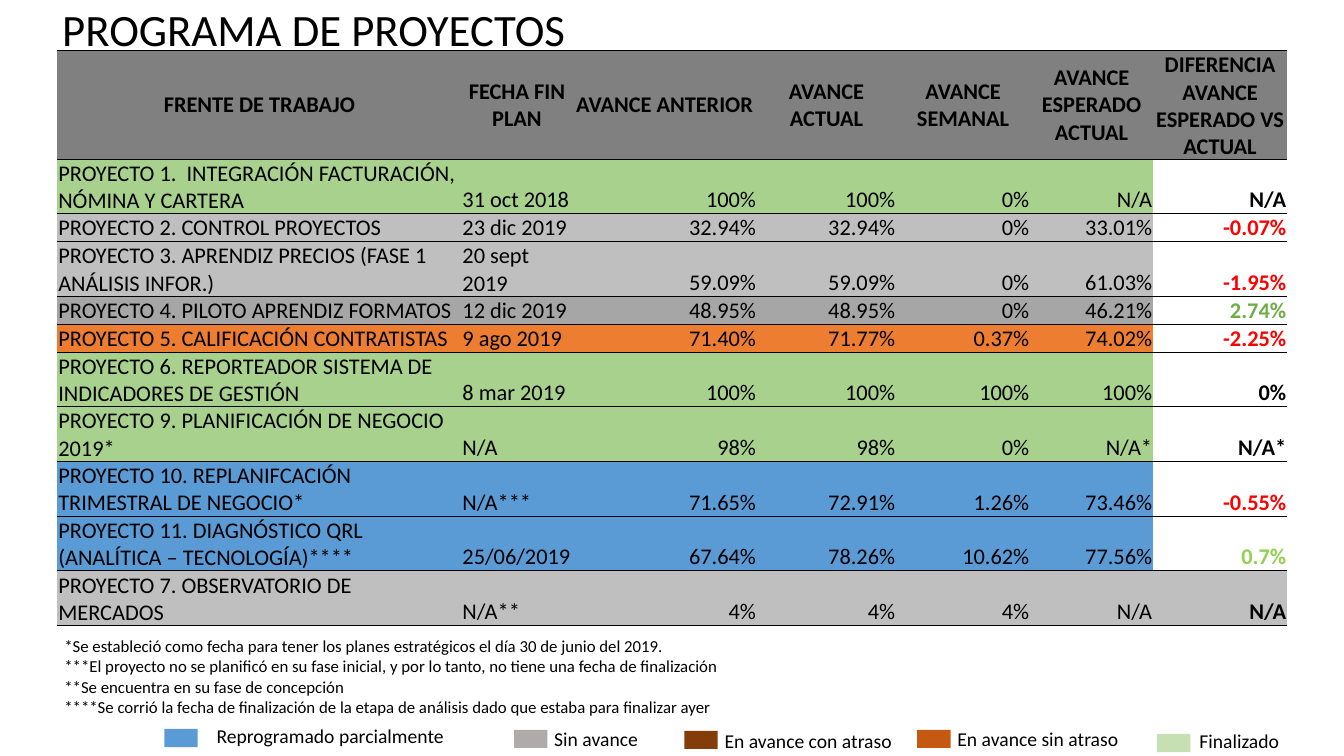
from lxml import etree
from pptx import Presentation
from pptx.dml.color import RGBColor
from pptx.enum.shapes import MSO_SHAPE
from pptx.enum.text import MSO_ANCHOR, PP_ALIGN
from pptx.oxml.ns import qn
from pptx.util import Pt

RECTANGLE = MSO_SHAPE.RECTANGLE
MIDDLE, BOTTOM = MSO_ANCHOR.MIDDLE, MSO_ANCHOR.BOTTOM
LEFT, CENTER, RIGHT = PP_ALIGN.LEFT, PP_ALIGN.CENTER, PP_ALIGN.RIGHT
PLAIN_TABLE = "{2D5ABB26-0587-4C30-8999-92F81FD0307C}"

BLACK, WHITE, RED = "000000", "FFFFFF", "FF0000"
GREEN, LIME = "70AD47", "92D050"
HEADER, SILVER, GRAY = "808080", "BFBFBF", "A6A6A6"
DONE, ORANGE, BLUE = "A9D18E", "ED7D31", "5B9BD5"

HEADINGS = ["FRENTE DE TRABAJO", "FECHA FIN PLAN", "AVANCE ANTERIOR",
            "AVANCE ACTUAL", "AVANCE SEMANAL", "AVANCE ESPERADO ACTUAL",
            "DIFERENCIA AVANCE ESPERADO VS ACTUAL"]
COLUMN_WIDTHS = [288.7, 79.2, 131.8, 99.4, 95.8, 87.8, 95.8]
HEADER_HEIGHT, LINE_HEIGHT = 77, 19.5

# Row fill, difference fill, difference colour, lines of text, values
PROJECTS = [
    (DONE, WHITE, BLACK, 2, ["PROYECTO 1.  INTEGRACIÓN FACTURACIÓN, NÓMINA Y CARTERA",
     "31 oct 2018", "100%", "100%", "0%", "N/A", "N/A"]),
    (SILVER, WHITE, RED, 1, ["PROYECTO 2. CONTROL PROYECTOS",
     "23 dic 2019", "32.94%", "32.94%", "0%", "33.01%", "-0.07%"]),
    (SILVER, WHITE, RED, 2, ["PROYECTO 3. APRENDIZ PRECIOS (FASE 1 ANÁLISIS INFOR.)",
     "20 sept 2019", "59.09%", "59.09%", "0%", "61.03%", "-1.95%"]),
    (GRAY, WHITE, GREEN, 1, ["PROYECTO 4. PILOTO APRENDIZ FORMATOS",
     "12 dic 2019", "48.95%", "48.95%", "0%", "46.21%", "2.74%"]),
    (ORANGE, WHITE, RED, 1, ["PROYECTO 5. CALIFICACIÓN CONTRATISTAS",
     "9 ago 2019", "71.40%", "71.77%", "0.37%", "74.02%", "-2.25%"]),
    (DONE, WHITE, BLACK, 2, ["PROYECTO 6. REPORTEADOR SISTEMA DE INDICADORES DE GESTIÓN",
     "8 mar 2019", "100%", "100%", "100%", "100%", "0%"]),
    (DONE, WHITE, BLACK, 2, ["PROYECTO 9. PLANIFICACIÓN DE NEGOCIO 2019*",
     "N/A", "98%", "98%", "0%", "N/A*", "N/A*"]),
    (BLUE, WHITE, RED, 2, ["PROYECTO 10. REPLANIFCACIÓN TRIMESTRAL DE NEGOCIO*",
     "N/A***", "71.65%", "72.91%", "1.26%", "73.46%", "-0.55%"]),
    (BLUE, WHITE, LIME, 2, ["PROYECTO 11. DIAGNÓSTICO QRL (ANALÍTICA – TECNOLOGÍA)****",
     "25/06/2019", "67.64%", "78.26%", "10.62%", "77.56%", "0.7%"]),
    (SILVER, SILVER, BLACK, 2, ["PROYECTO 7. OBSERVATORIO DE MERCADOS",
     "N/A**", "4%", "4%", "4%", "N/A", "N/A"]),
]

NOTES = [
    "*Se estableció como fecha para tener los planes estratégicos el día 30 de junio del 2019.",
    "***El proyecto no se planificó en su fase inicial, y por lo tanto, no tiene una fecha de finalización",
    "**Se encuentra en su fase de concepción",
    "****Se corrió la fecha de finalización de la etapa de análisis dado que estaba para finalizar ayer",
]

# Label, colour, swatch left and top, label left, top and width
LEGEND = [
    ("Reprogramado parcialmente", BLUE, 117.4, 520.6, 147.6, 513.4, 213.8),
    ("Sin avance", "AFABAB", 367.2, 521.3, 388.8, 515.5, 93.6),
    ("En avance con atraso", "843C0B", 488.9, 522, 510.5, 517, 139),
    ("En avance sin atraso", "C65911", 655.2, 521.3, 676.8, 515.5, 139),
    ("Finalizado", "C6E0B4", 826.6, 524.2, 849.6, 517, 73.4),
]


def color(value):
    """Turn a hex string into a colour."""
    return RGBColor.from_string(value)


class Page:
    """The current slide and its text style."""

    def __init__(self, slide, font="Calibri"):
        """Keep the slide and the font name."""
        self.slide, self.font = slide, font

    def style(self, paragraph, size, ink=BLACK, bold=False, align=LEFT):
        """Set the font and alignment of a paragraph."""
        paragraph.alignment = align
        font = paragraph.font
        font.name, font.size, font.bold = self.font, Pt(size), bold
        font.color.rgb = color(ink)

    def text(self, lines, size, left, top, width, height):
        """Add a text box with one paragraph per line."""
        box = self.slide.shapes.add_textbox(Pt(left), Pt(top), Pt(width), Pt(height))
        frame = box.text_frame
        frame.word_wrap = True
        frame.text = "\n".join(lines)
        for paragraph in frame.paragraphs:
            self.style(paragraph, size)

    def swatch(self, fill, left, top, width=23.8, height=13):
        """Add a plain filled rectangle."""
        box = self.slide.shapes.add_shape(RECTANGLE, Pt(left), Pt(top), Pt(width), Pt(height))
        box.shadow.inherit = False
        box.fill.solid()
        box.fill.fore_color.rgb = color(fill)
        box.line.fill.background()

    def table(self, left, top, widths, heights):
        """Add an unstyled table with the given column widths and row heights."""
        table = self.slide.shapes.add_table(
            len(heights), len(widths), Pt(left), Pt(top),
            Pt(sum(widths)), Pt(sum(heights))).table
        table.first_row = table.horz_banding = False
        table._tbl.tblPr.find(qn("a:tableStyleId")).text = PLAIN_TABLE
        for column, width in zip(table.columns, widths):
            column.width = Pt(width)
        for row, height in zip(table.rows, heights):
            row.height = Pt(height)
        return table

    def cell(self, cell, text, fill, ink=BLACK, bold=False, align=LEFT, anchor=BOTTOM):
        """Fill one table cell and rule its top and bottom."""
        cell.text = text
        cell.vertical_anchor = anchor
        cell.margin_left = cell.margin_right = cell.margin_top = Pt(0.7)
        cell.margin_bottom = 0
        self.style(cell.text_frame.paragraphs[0], 16, ink, bold, align)
        properties = cell._tc.get_or_add_tcPr()
        for side in ("a:lnT", "a:lnB"):
            line = etree.SubElement(properties, qn(side), w=str(Pt(0.5)))
            paint = etree.SubElement(line, qn("a:solidFill"))
            etree.SubElement(paint, qn("a:srgbClr"), val=BLACK)
        cell.fill.solid()
        cell.fill.fore_color.rgb = color(fill)


def add_projects(page):
    """Add the progress table."""
    heights = [HEADER_HEIGHT] + [LINE_HEIGHT * project[3] for project in PROJECTS]
    table = page.table(41, 36, COLUMN_WIDTHS, heights)
    for column, heading in enumerate(HEADINGS):
        page.cell(table.cell(0, column), heading, HEADER,
                  bold=True, align=CENTER, anchor=MIDDLE)
    last = len(HEADINGS) - 1
    for row, (fill, end_fill, end_ink, _, values) in enumerate(PROJECTS, 1):
        for column, value in enumerate(values[:last]):
            page.cell(table.cell(row, column), value, fill,
                      align=LEFT if column < 2 else RIGHT)
        page.cell(table.cell(row, last), values[last], end_fill, end_ink, True, RIGHT)


def main():
    """Build and save the deck."""
    deck = Presentation()
    deck.slide_width, deck.slide_height = Pt(960), Pt(540)
    page = Page(deck.slides.add_slide(deck.slide_layouts[6]))
    page.text(["PROGRAMA DE PROYECTOS"], 32, 37.4, -2.2, 384.5, 46)
    add_projects(page)
    page.text(NOTES, 12, 38.9, 450.7, 878.4, 65.5)
    for label, fill, left, top, label_left, label_top, width in LEGEND:
        page.swatch(fill, left, top)
        page.text([label], 14, label_left, label_top, width, 24.5)
    deck.save("out.pptx")


main()
